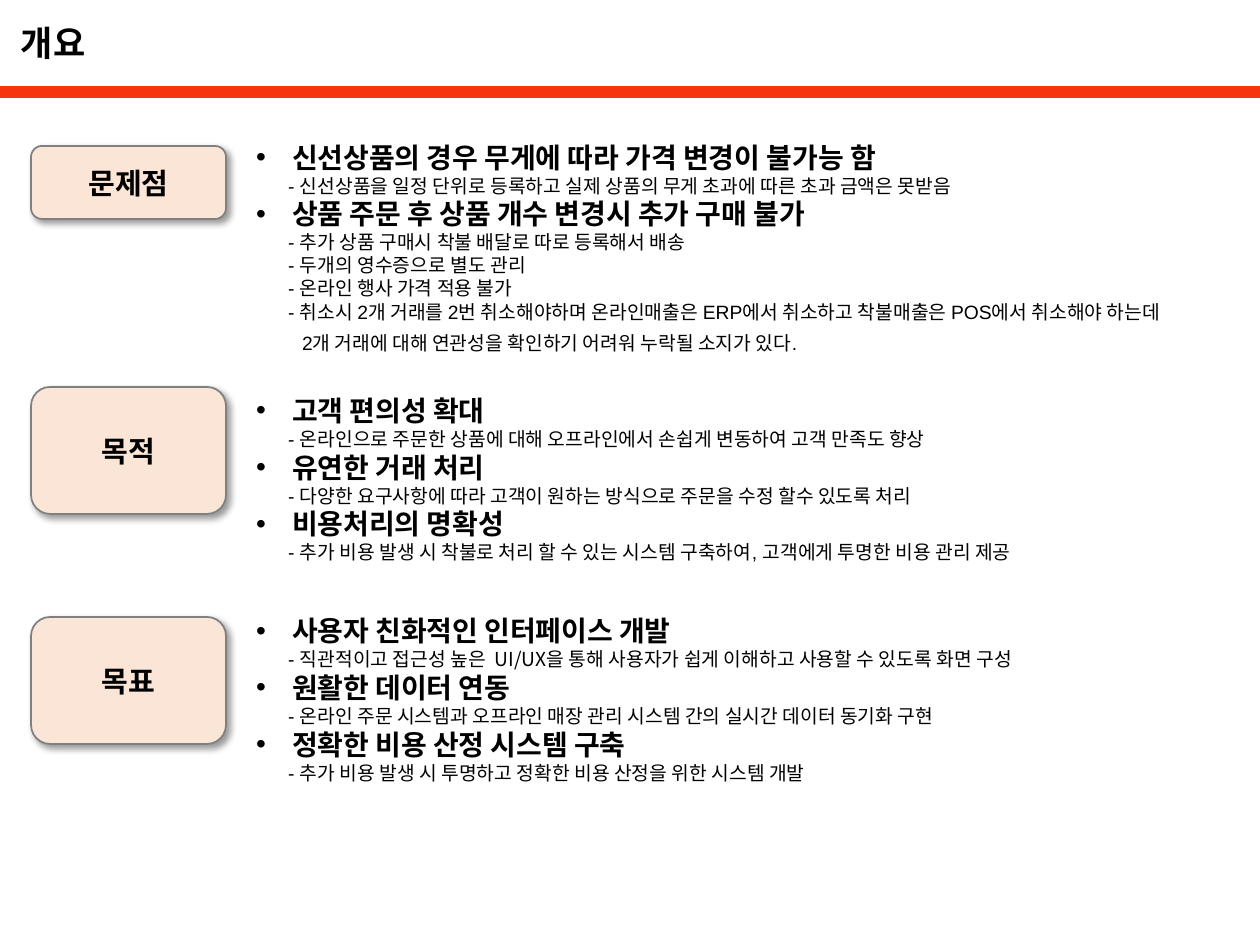
from dataclasses import dataclass

from lxml import etree
from pptx import Presentation
from pptx.dml.color import RGBColor
from pptx.enum.shapes import MSO_CONNECTOR, MSO_SHAPE
from pptx.enum.text import MSO_ANCHOR, MSO_AUTO_SIZE, PP_ALIGN
from pptx.oxml.ns import qn
from pptx.util import Emu, Pt

ROUNDED = MSO_SHAPE.ROUNDED_RECTANGLE
STRAIGHT = MSO_CONNECTOR.STRAIGHT
MIDDLE = MSO_ANCHOR.MIDDLE
LEFT, CENTER = PP_ALIGN.LEFT, PP_ALIGN.CENTER
COMPARISON_LAYOUT = 4
WIDTH, HEIGHT = 1260, 945
EMU_PER_PX = 914400 / 126


@dataclass(frozen=True)
class Theme:
    ink: str = "000000"
    accent: str = "F73410"
    label_fill: str = "FBE5D6"
    label_line: str = "808080"
    korean: str = "Noto Sans CJK KR"
    latin: str = "Arial"
    title: float = 20
    label: float = 16.6
    heading: float = 16
    detail: float = 11


THEME = Theme()

# Each section: label, label top and height, list top, space below list, items.
# An item is a heading and its details; a detail is a list of (text, font).
SECTIONS = [
    ("문제점", 146, 73, 132, 6, [
        ("신선상품의 경우 무게에 따라 가격 변경이 불가능 함", [
            [("- 신선상품을 일정 단위로 등록하고 실제 상품의 무게 초과에 따른 초과 금액은 못받음", THEME.latin)]]),
        ("상품 주문 후 상품 개수 변경시 추가 구매 불가", [
            [("- 추가 상품 구매시 착불 배달로 따로 등록해서 배송", THEME.latin)],
            [("- 두개의 영수증으로 별도 관리", THEME.latin)],
            [("- 온라인 행사 가격 적용 불가", THEME.latin)],
            [("- 취소시 2개 거래를 2번 취소해야하며 온라인매출은 ERP에서 취소하고 착불매출은 POS에서 취소해야 하는데", THEME.latin)],
            [("2개 거래에 대해 연관성을 확인하기 어려워 누락될 소지가 있다.", THEME.latin)]]),
    ]),
    ("목적", 387, 127, 363, 6, [
        ("고객 편의성 확대", [
            [("- 온라인으로 주문한 상품에 대해 오프라인에서 손쉽게 변동하여 고객 만족도 향상", THEME.latin)]]),
        ("유연한 거래 처리", [
            [("- 다양한 요구사항에 따라 고객이 원하는 방식으로 주문을 수정 할수 있도록 처리", THEME.latin)]]),
        ("비용처리의 명확성", [
            [("- 추가 비용 발생 시 착불로 처리 할 수 있는 시스템 구축하여, 고객에게 투명한 비용 관리 제공", THEME.latin)]]),
    ]),
    ("목표", 617, 127, 595, 29, [
        ("사용자 친화적인 인터페이스 개발", [
            [("- 직관적이고 접근성 높은 ", THEME.latin), (" UI/UX", THEME.korean),
             ("을 통해 사용자가 쉽게 이해하고 사용할 수 있도록 화면 구성", THEME.latin)]]),
        ("원활한 데이터 연동", [
            [("- ", THEME.latin),
             ("온라인 주문 시스템과 오프라인 매장 관리 시스템 간의 실시간 데이터 동기화 구현", THEME.korean)]]),
        ("정확한 비용 산정 시스템 구축", [
            [("- ", THEME.latin),
             ("추가 비용 발생 시 투명하고 정확한 비용 산정을 위한 시스템 개발", THEME.korean)]]),
    ]),
]


def px(value):
    return Emu(round(value * EMU_PER_PX))


def place(shape, left, top, width, height):
    shape.left, shape.top = px(left), px(top)
    shape.width, shape.height = px(width), px(height)


def add_text(paragraph, text, *, size, font=THEME.korean, bold=False):
    run = paragraph.add_run()
    run.text = text
    run.font.size, run.font.name, run.font.bold = Pt(size), font, bold
    run.font.color.rgb = RGBColor.from_string(THEME.ink)
    east_asian = etree.SubElement(run._r.get_or_add_rPr(), qn("a:ea"))
    east_asian.set("typeface", THEME.korean)


def format_paragraph(paragraph, *, margin=0, hanging=0, bullet=None, before=0):
    paragraph.alignment = LEFT
    paragraph.space_before = Pt(before)
    properties = paragraph._p.get_or_add_pPr()
    properties.set("marL", str(px(margin)))
    properties.set("indent", str(-px(hanging)))
    if bullet:
        etree.SubElement(properties, qn("a:buFont")).set("typeface", THEME.latin)
        etree.SubElement(properties, qn("a:buChar")).set("char", bullet)
    else:
        etree.SubElement(properties, qn("a:buNone"))


def prepare_frame(shape, bottom=6, side=13, top=6):
    frame = shape.text_frame
    frame.word_wrap = True
    frame.auto_size = MSO_AUTO_SIZE.NONE
    frame.vertical_anchor = MIDDLE
    frame.margin_left = frame.margin_right = px(side)
    frame.margin_top, frame.margin_bottom = px(top), px(bottom)
    return frame


def add_shadow(shape):
    shape.shadow.inherit = False
    effects = shape._element.spPr.find(qn("a:effectLst"))
    shadow = etree.SubElement(effects, qn("a:outerShdw"), blurRad=str(Pt(4)),
                              dist=str(Pt(3)), dir="2700000", algn="tl", rotWithShape="0")
    color = etree.SubElement(shadow, qn("a:srgbClr"), val=THEME.ink)
    etree.SubElement(color, qn("a:alpha"), val="40000")


def build_header(slide, title):
    # Accent rule
    rule = slide.shapes.add_connector(STRAIGHT, 0, px(92), px(WIDTH), px(92))
    rule.line.color.rgb = RGBColor.from_string(THEME.accent)
    rule.line.width = Pt(7)
    etree.SubElement(rule._element.spPr, qn("a:effectLst"))

    # Title
    shape = slide.shapes.title
    place(shape, 21, 9, 901, 72)
    paragraph = prepare_frame(shape, bottom=0, side=0, top=0).paragraphs[0]
    format_paragraph(paragraph, before=10)
    paragraph.line_spacing = 0.9
    add_text(paragraph, title, size=THEME.title, bold=True)


def build_label(slide, text, left, top, width, height):
    shape = slide.shapes.add_shape(ROUNDED, px(left), px(top), px(width), px(height))
    shape.adjustments[0] = 0.15
    shape.fill.solid()
    shape.fill.fore_color.rgb = RGBColor.from_string(THEME.label_fill)
    shape.line.color.rgb = RGBColor.from_string(THEME.label_line)
    shape.line.width = Pt(1)
    add_shadow(shape)
    paragraph = prepare_frame(shape).paragraphs[0]
    paragraph.alignment = CENTER
    add_text(paragraph, text, size=THEME.label, bold=True)


def build_list(body, items, bottom, left, top, width, height):
    place(body, left, top, width, height)
    frame = prepare_frame(body, bottom)
    for index, (heading, details) in enumerate(items):
        paragraph = frame.add_paragraph() if index else frame.paragraphs[0]
        format_paragraph(paragraph, margin=36, hanging=36, bullet="•")
        add_text(paragraph, heading, size=THEME.heading, font=THEME.latin, bold=True)
        for runs in details:
            # A detail without a dash continues the line above
            continued = not runs[0][0].startswith("-")
            paragraph = frame.add_paragraph()
            format_paragraph(paragraph, margin=46 if continued else 32,
                             before=5 if continued else 0)
            for text, font in runs:
                add_text(paragraph, text, size=THEME.detail, font=font)


def main():
    presentation = Presentation()
    presentation.slide_width, presentation.slide_height = px(WIDTH), px(HEIGHT)
    slide = presentation.slides.add_slide(presentation.slide_layouts[COMPARISON_LAYOUT])
    build_header(slide, "개요")

    bodies = [shape for shape in slide.placeholders if shape.placeholder_format.idx]
    for body, section in zip(bodies, SECTIONS):
        label, label_top, label_height, list_top, bottom, items = section
        build_label(slide, label, 31, label_top, 195, label_height)
        build_list(body, items, bottom, 243, list_top, 1017, 231)
    for unused in bodies[len(SECTIONS):]:
        unused._element.getparent().remove(unused._element)

    presentation.save("out.pptx")


if __name__ == "__main__":
    main()
